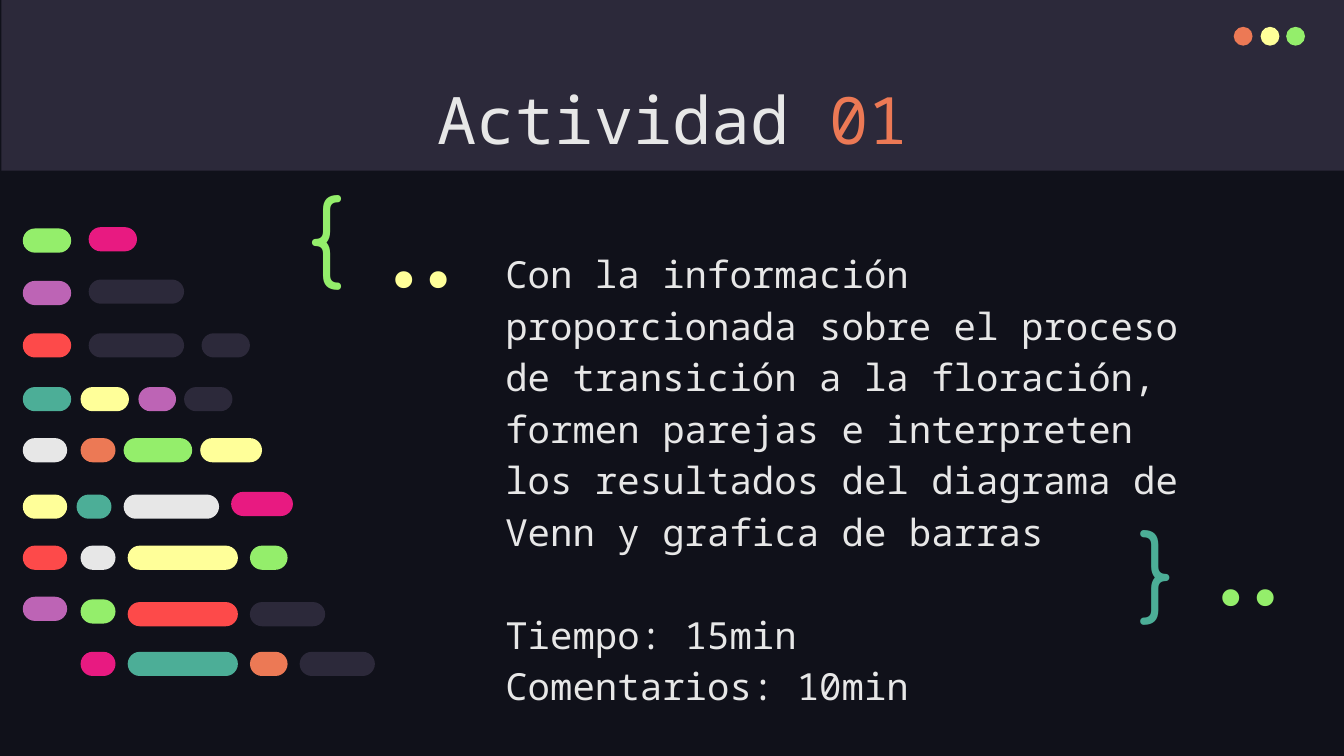
from dataclasses import dataclass

from lxml import etree
from pptx import Presentation
from pptx.dml.color import RGBColor
from pptx.enum.shapes import MSO_SHAPE
from pptx.enum.text import MSO_ANCHOR, MSO_AUTO_SIZE, PP_ALIGN
from pptx.oxml.ns import qn
from pptx.util import Inches, Pt

RECT, OVAL, ROUND = MSO_SHAPE.RECTANGLE, MSO_SHAPE.OVAL, MSO_SHAPE.ROUNDED_RECTANGLE
TOP, MIDDLE = MSO_ANCHOR.TOP, MSO_ANCHOR.MIDDLE
LEFT, CENTER, RIGHT = PP_ALIGN.LEFT, PP_ALIGN.CENTER, PP_ALIGN.RIGHT
NO_FIT = MSO_AUTO_SIZE.NONE


@dataclass(frozen=True)
class Theme:
    night: str = "10111A"
    slate: str = "2C293A"
    white: str = "E7E7E7"
    orange: str = "EC7955"
    yellow: str = "FFFF99"
    green: str = "94EE6B"
    pink: str = "E81A81"
    purple: str = "BD64B5"
    red: str = "FD4A4A"
    teal: str = "4CAE97"
    mono: str = "Noto Sans Mono"
    round_font: str = "Comfortaa"
    code_font: str = "Fira Code"
    title_size: float = 35
    body_size: float = 20
    symbol_size: float = 50


@dataclass(frozen=True)
class Box:
    left: float
    top: float
    width: float
    height: float

    def emu(self) -> list[int]:
        return [Inches(v) for v in (self.left, self.top, self.width, self.height)]


@dataclass(frozen=True)
class Pill:
    left: float
    top: float
    width: float
    color: str


@dataclass(frozen=True)
class Symbol:
    text: str
    box: Box
    font: str
    color: str
    align: PP_ALIGN
    anchor: MSO_ANCHOR


T = Theme()
SLIDE_WIDTH = Inches(10)
SLIDE_HEIGHT = SLIDE_WIDTH * 9 // 16
PILL_HEIGHT = 0.18
DOT_SIZE = 0.14

PILLS = [
    Pill(0.17, 1.7, 0.36, T.green), Pill(0.66, 1.69, 0.36, T.pink),
    Pill(0.17, 2.09, 0.36, T.purple), Pill(0.66, 2.08, 0.71, T.slate),
    Pill(0.17, 2.48, 0.36, T.red), Pill(0.66, 2.48, 0.71, T.slate),
    Pill(1.5, 2.48, 0.36, T.slate),
    Pill(0.17, 2.88, 0.36, T.teal), Pill(0.6, 2.88, 0.36, T.yellow),
    Pill(1.03, 2.88, 0.28, T.purple), Pill(1.37, 2.88, 0.36, T.slate),
    Pill(0.17, 3.26, 0.33, T.white), Pill(0.6, 3.26, 0.26, T.orange),
    Pill(0.92, 3.26, 0.51, T.green), Pill(1.49, 3.26, 0.46, T.yellow),
    Pill(0.17, 3.68, 0.33, T.yellow), Pill(0.57, 3.68, 0.26, T.teal),
    Pill(0.92, 3.68, 0.71, T.white), Pill(1.72, 3.66, 0.46, T.pink),
    Pill(0.17, 4.06, 0.33, T.red), Pill(0.6, 4.06, 0.26, T.white),
    Pill(0.95, 4.06, 0.82, T.yellow), Pill(1.86, 4.06, 0.28, T.green),
    Pill(0.17, 4.44, 0.33, T.purple), Pill(0.6, 4.46, 0.26, T.green),
    Pill(0.95, 4.48, 0.82, T.red), Pill(1.86, 4.48, 0.56, T.slate),
    Pill(0.6, 4.85, 0.26, T.pink), Pill(0.95, 4.85, 0.82, T.teal),
    Pill(1.86, 4.85, 0.28, T.orange), Pill(2.23, 4.85, 0.56, T.slate),
]

SYMBOLS = [
    Symbol("{", Box(2.19, 1.2, 0.77, 0.95), T.round_font, T.green, LEFT, TOP),
    Symbol("..", Box(2.59, 1.56, 1.07, 0.6), T.code_font, T.yellow, RIGHT, MIDDLE),
    Symbol("}", Box(8.38, 3.7, 0.57, 0.83), T.round_font, T.teal, LEFT, TOP),
    Symbol("..", Box(8.75, 3.93, 1.07, 0.6), T.code_font, T.green, RIGHT, MIDDLE),
]

BODY = [
    ("Con la información proporcionada sobre el proceso de transición a la "
     "floración, formen parejas e interpreten los resultados del diagrama de "
     "Venn y grafica de barras", 0),
    ("Tiempo: 15min", 27.6),
    ("Comentarios: 10min", 0),
]


def set_attrs(obj, values: dict) -> None:
    for name, value in values.items():
        setattr(obj, name, value)


def add_solid(s, kind: MSO_SHAPE, box: Box, color: str):
    sp = s.shapes.add_shape(kind, *box.emu())
    sp.shadow.inherit = False
    sp.fill.solid()
    sp.fill.fore_color.rgb = RGBColor.from_string(color)
    sp.line.fill.background()
    return sp


def add_run(p, text: str, font: str, size: float, color: str) -> None:
    r = p.add_run()
    r.text = text
    set_attrs(r.font, {"name": font, "size": Pt(size), "bold": False})
    r.font.color.rgb = RGBColor.from_string(color)


def format_frame(sp, box: Box, anchor: MSO_ANCHOR):
    set_attrs(sp, dict(zip(("left", "top", "width", "height"), box.emu())))
    tf = sp.text_frame
    sides = ("left", "top", "right", "bottom")
    set_attrs(tf, {f"margin_{side}": Inches(0.1) for side in sides})
    set_attrs(tf, {"word_wrap": True, "auto_size": NO_FIT, "vertical_anchor": anchor})
    return tf


def fill_title(sp) -> None:
    p = format_frame(sp, Box(0.79, 0.49, 8.43, 0.63), TOP).paragraphs[0]
    p.alignment = CENTER
    for text, color in (("Actividad ", T.white), ("01", T.orange)):
        add_run(p, text, T.mono, T.title_size, color)


def fill_body(sp) -> None:
    tf = format_frame(sp, Box(3.66, 1.72, 5.43, 1.14), TOP)
    for i, (text, gap) in enumerate(BODY):
        p = tf.add_paragraph() if i else tf.paragraphs[0]
        set_attrs(p, {"alignment": LEFT, "line_spacing": 1.15,
                      "space_before": Pt(gap), "space_after": Pt(0)})
        pPr = p._p.get_or_add_pPr()
        pPr.set("marL", "0")
        pPr.set("indent", "0")
        etree.SubElement(pPr, qn("a:buNone"))
        add_run(p, text, T.mono, T.body_size, T.white)


def add_symbol(s, symbol: Symbol) -> None:
    sp = s.shapes.add_textbox(*symbol.box.emu())
    p = format_frame(sp, symbol.box, symbol.anchor).paragraphs[0]
    p.alignment = symbol.align
    add_run(p, symbol.text, symbol.font, T.symbol_size, symbol.color)


def main() -> None:
    prs = Presentation()
    set_attrs(prs, {"slide_width": SLIDE_WIDTH, "slide_height": SLIDE_HEIGHT})
    s = prs.slides.add_slide(prs.slide_layouts[1])
    s.background.fill.solid()
    s.background.fill.fore_color.rgb = RGBColor.from_string(T.night)

    banner = add_solid(s, RECT, Box(0.01, 0, 10, 1.27), T.slate)
    s.shapes._spTree.insert(2, banner._element)
    for left, color in ((9.18, T.orange), (9.38, T.yellow), (9.57, T.green)):
        add_solid(s, OVAL, Box(left, 0.2, DOT_SIZE, DOT_SIZE), color)

    fill_title(s.shapes.title)
    fill_body(s.placeholders[1])
    for pill in PILLS:
        box = Box(pill.left, pill.top, pill.width, PILL_HEIGHT)
        add_solid(s, ROUND, box, pill.color).adjustments[0] = 0.5
    for symbol in SYMBOLS:
        add_symbol(s, symbol)

    prs.save("out.pptx")


if __name__ == "__main__":
    main()
